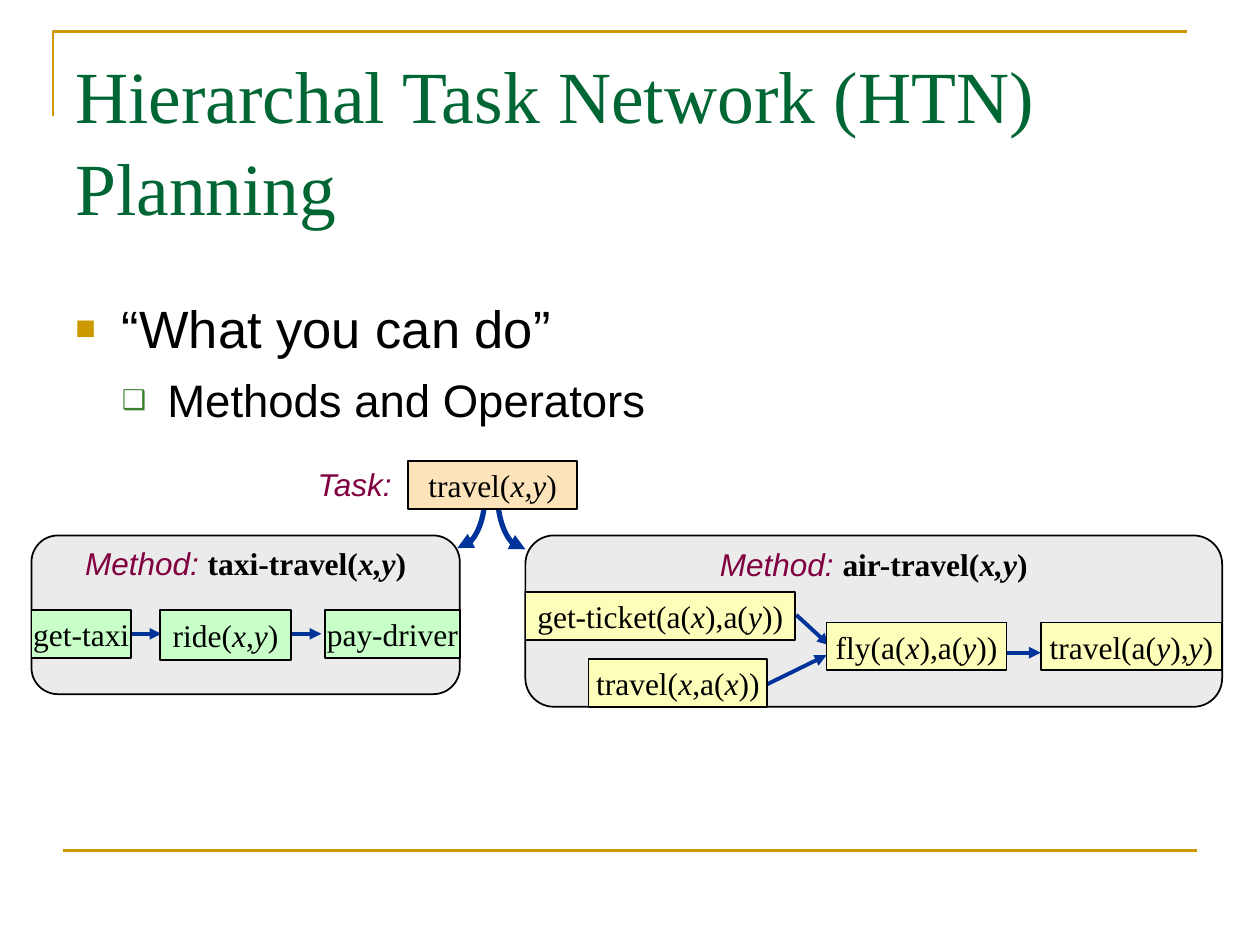
import pptx
import pptx.util
import pptx.dml.color
import pptx.enum.shapes
import pptx.enum.text
import pptx.oxml.ns
import lxml.etree

Inches, Pt = pptx.util.Inches, pptx.util.Pt
SHAPE = pptx.enum.shapes.MSO_SHAPE
ALIGN = pptx.enum.text.PP_ALIGN
ANCHOR = pptx.enum.text.MSO_ANCHOR
SERIF, SANS = "Times New Roman", "Arial"
GOLD, BLUE, PURPLE, BLACK, GRAY = "CC9900", "003399", "800040", "000000", "EBEBEB"
GREEN, YELLOW, PEACH = "C8FEC8", "FCFEB9", "FDE3BA"

# Content: asterisks switch italics on and off
TITLE = "Hierarchal Task Network (HTN) Planning"
# text, size, left indent, hanging, space before, bullet, bullet colour, bullet percent
BULLETS = [
    ("“What you can do”", 30, 0.37, 0.37, 0, "■", GOLD, 65),
    ("Methods and Operators", 26, 0.73, 0.36, 6.5, "❑", "3B812F", 60),
]
TASK = ("travel(*x,y*)", 3.24, 3.66, 1.34, 0.38)
METHODS = [
    {"name": "taxi-travel(*x,y*)", "frame": (0.25, 4.25, 3.4, 1.26), "fill": GREEN,
     "steps": [("get-taxi", 0.25, 4.84, 0.79, 0.38),
               ("ride(*x*,*y*)", 1.27, 4.84, 1.04, 0.4),
               ("pay-driver", 2.58, 4.84, 1.07, 0.38)],
     "arrows": [(1.04, 5.03, 1.28, 5.03), (2.31, 5.03, 2.55, 5.03)]},
    {"name": "air-travel(*x,y*)", "frame": (4.17, 4.25, 5.53, 1.36), "fill": YELLOW,
     "steps": [("get-ticket(a(*x*),a(*y*))", 4.17, 4.7, 2.14, 0.38),
               ("travel(*x*,a(*x*))", 4.67, 5.23, 1.42, 0.38),
               ("fly(a(*x*),a(*y*))", 6.56, 4.94, 1.43, 0.38),
               ("travel(a(*y*),*y*)", 8.26, 4.94, 1.44, 0.38)],
     "arrows": [(7.94, 5.18, 8.26, 5.18), (6.32, 4.88, 6.58, 5.12),
                (6.09, 5.43, 6.56, 5.2)]},
]
# Arcs from the task: ellipse centre x, y, start and end angle, arrow end
ARCS = [(4.17, 3.93, 90, 180, "headEnd"), (3.63, 3.92, 0, 90, "tailEnd")]
ARC_RADII = (0.22, 0.43)

deck = pptx.Presentation()
deck.slide_width, deck.slide_height = Inches(10), Inches(7.5)
slide = deck.slides.add_slide(deck.slide_layouts[6])
shapes = slide.shapes


def rgb(value):
    return pptx.dml.color.RGBColor.from_string(value)


def add_xml(parent, tag, **attributes):
    return lxml.etree.SubElement(parent, pptx.oxml.ns.qn(tag), **attributes)


def write(paragraph, text, size=18, font=SERIF, color=BLACK, bold=False, align=ALIGN.CENTER):
    paragraph.alignment = align
    for index, part in enumerate(text.split("*")):
        if part:
            run = paragraph.add_run()
            run.text = part
            run.font.size, run.font.name = Pt(size), font
            run.font.bold, run.font.italic = bold, index % 2 == 1
            run.font.color.rgb = rgb(color)


def text_box(left, top, width, height, wrap=True):
    frame = shapes.add_textbox(*map(Inches, (left, top, width, height))).text_frame
    frame.word_wrap = wrap
    return frame


def box(kind, place, fill, anchor=ANCHOR.MIDDLE, inset=0.05):
    shape = shapes.add_shape(kind, *map(Inches, place))
    shape.shadow.inherit = False
    shape.fill.solid()
    shape.fill.fore_color.rgb = rgb(fill)
    shape.line.color.rgb = rgb(BLACK)
    shape.line.width = Pt(1)
    frame = shape.text_frame
    frame.word_wrap = False
    frame.vertical_anchor = anchor
    frame.margin_top = frame.margin_bottom = Inches(inset)
    return shape


def stroke(shape, color, width, arrow=None):
    shape.line.color.rgb = rgb(color)
    shape.line.width = Pt(width)
    if arrow:
        add_xml(shape.line._get_or_add_ln(), "a:" + arrow, type="triangle")


def line(x1, y1, x2, y2, color, width, arrow=None):
    connector = shapes.add_connector(pptx.enum.shapes.MSO_CONNECTOR.STRAIGHT,
                                     *map(Inches, (x1, y1, x2, y2)))
    stroke(connector, color, width, arrow)
    add_xml(connector._element.spPr, "a:effectLst")


# Gold corner and footer line
corner = shapes.build_freeform(Inches(0.42), Inches(0.92))
corner.add_line_segments([(Inches(0.42), Inches(0.25)), (Inches(9.42), Inches(0.25))], close=False)
corner_line = corner.convert_to_shape()
corner_line.shadow.inherit = False
corner_line.fill.background()
stroke(corner_line, GOLD, 1.5)
line(0.5, 6.75, 9.5, 6.75, GOLD, 1.5)

# Title
heading = text_box(0.5, 0.32, 9, 1.5).paragraphs[0]
heading.line_spacing = 1.04
write(heading, TITLE, size=42, color="006633", align=ALIGN.LEFT)

# Bullets
body = text_box(0.5, 2.28, 9, 4.45)
for number, (text, size, left, hang, before, mark, mark_color, percent) in enumerate(BULLETS):
    point = body.add_paragraph() if number else body.paragraphs[0]
    point.level = number
    props = point._p.get_or_add_pPr()
    props.set("marL", str(Inches(left)))
    props.set("indent", str(-Inches(hang)))
    add_xml(add_xml(props, "a:buClr"), "a:srgbClr", val=mark_color)
    add_xml(props, "a:buSzPct", val=str(percent * 1000))
    add_xml(props, "a:buFont", typeface=SANS)
    add_xml(props, "a:buChar", char=mark)
    point.line_spacing = 1.04
    if before:
        point.space_before = Pt(before)
    write(point, text, size=size, font=SANS, align=ALIGN.LEFT)

# Task label, arcs and box
write(text_box(2.41, 3.64, 0.81, 0.4, wrap=False).paragraphs[0], "*Task:*",
      font=SANS, color=PURPLE)
rx, ry = ARC_RADII
for cx, cy, start, end, arrow in ARCS:
    arc = shapes.add_shape(SHAPE.ARC, *map(Inches, (cx - rx, cy - ry, 2 * rx, 2 * ry)))
    arc.adjustments[0], arc.adjustments[1] = start * 0.6, end * 0.6
    arc.shadow.inherit = False
    arc.fill.background()
    stroke(arc, BLUE, 3, arrow)
task_text, *task_place = TASK
write(box(SHAPE.RECTANGLE, task_place, PEACH).text_frame.paragraphs[0], task_text)

# Methods with their steps
for method in METHODS:
    panel = box(SHAPE.ROUNDED_RECTANGLE, method["frame"], GRAY, ANCHOR.TOP, 0.01)
    panel.adjustments[0] = 0.167
    caption = panel.text_frame.paragraphs[0]
    write(caption, "*Method: *", font=SANS, color=PURPLE)
    write(caption, method["name"], bold=True)
    for ends in method["arrows"]:
        line(*ends, BLUE, 2.25, "tailEnd")
    for step, *place in method["steps"]:
        write(box(SHAPE.RECTANGLE, place, method["fill"]).text_frame.paragraphs[0], step)

deck.save("out.pptx")
